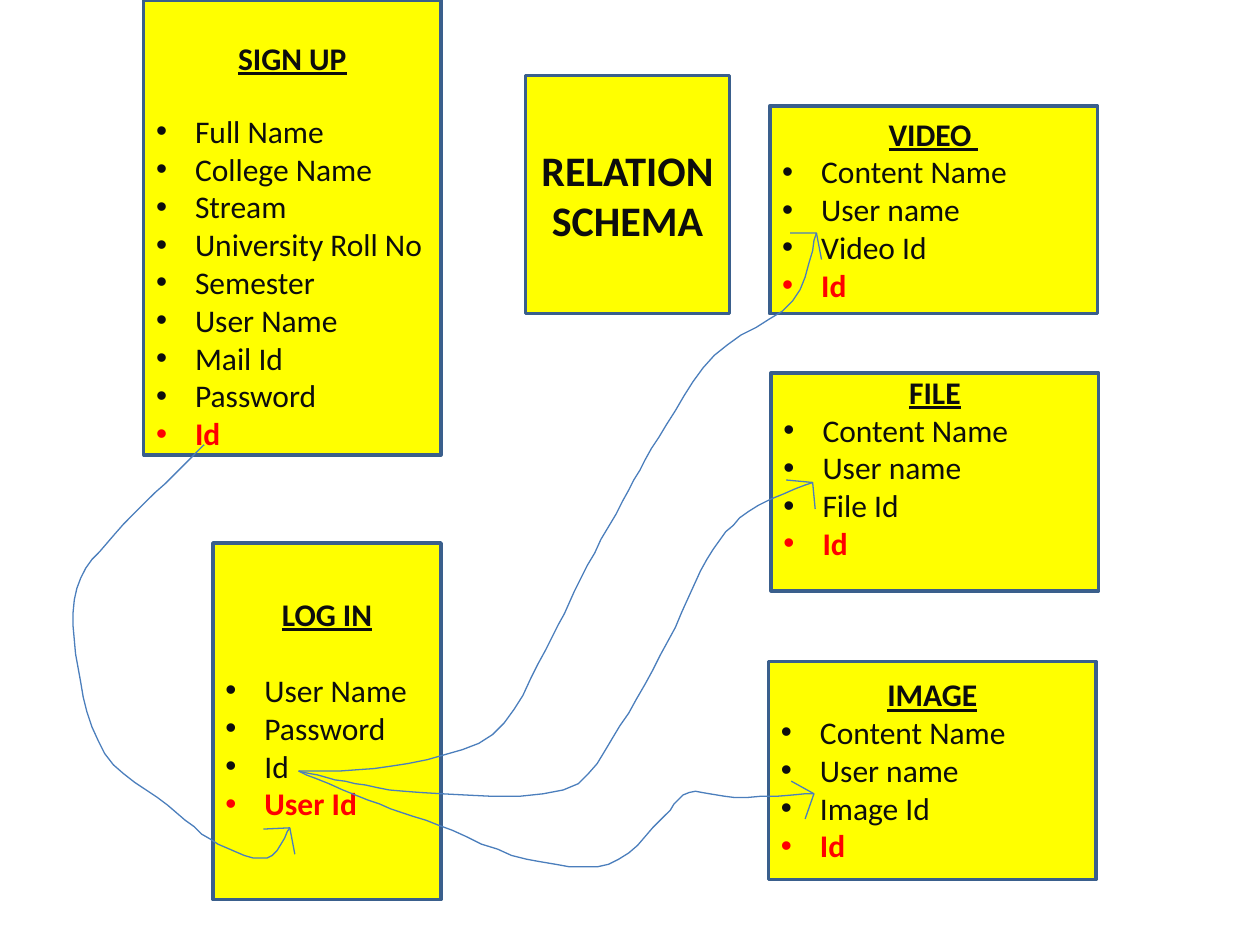
from dataclasses import dataclass
from math import cos, radians, sin
from typing import NamedTuple

from lxml.etree import SubElement
from pptx import Presentation
from pptx.dml.color import RGBColor
from pptx.enum.shapes import MSO_SHAPE
from pptx.enum.text import MSO_ANCHOR, MSO_AUTO_SIZE, PP_ALIGN
from pptx.oxml.ns import qn
from pptx.util import Inches, Pt

COLUMNS = 1000
YELLOW, BORDER, INK, RED, BLUE = "FFFF00", "3A5F8C", "0D0D0D", "FF0000", "4B7EBC"
BARB_LENGTH, BARB_SPREAD = 21, 50
STEPS = 6


class Point(NamedTuple):
    x: float
    y: float


class Box(NamedTuple):
    left: int
    top: int
    width: int
    height: int


@dataclass
class Entity:
    name: str
    box: Box
    inset: int
    fields: list[str]
    key: str = "Id"
    gap: int = 0


@dataclass
class Link:
    start: Point
    bends: list[tuple[int, int]]
    tip: Point
    back_angle: int


def media(name: str, box: Box, inset: int) -> Entity:
    own_id = f"{name.strip().title()} Id"
    return Entity(name, box, inset, ["Content Name", "User name", own_id])


TITLE_BOX = Box(417, 60, 162, 189)
SIGN_UP = Entity("SIGN UP", Box(114, 0, 236, 361), 31,
                 ["Full Name", "College Name", "Stream", "University Roll No",
                  "Semester", "User Name", "Mail Id", "Password"], gap=20)
LOG_IN = Entity("LOG IN", Box(169, 431, 181, 283), 41,
                ["User Name", "Password", "Id"], key="User Id", gap=22)
VIDEO = media("VIDEO ", Box(611, 84, 260, 165), 7)
FILE = media("FILE", Box(612, 296, 260, 173), 0)
IMAGE = media("IMAGE", Box(610, 525, 260, 173), 11)

SIGN_UP_ID = Point(162, 353)
LOG_IN_ID = Point(237, 612)
LINKS = [
    Link(SIGN_UP_ID,
         [(138, 377), (91, 424), (61, 467), (62, 530), (83, 598), (133, 639),
          (173, 670), (212, 681)],
         Point(230, 657), 128),
    Link(LOG_IN_ID,
         [(311, 608), (391, 583), (433, 516), (461, 459), (494, 398), (523, 347),
          (567, 282), (629, 239)],
         Point(648, 185), 130),
    Link(LOG_IN_ID,
         [(274, 620), (334, 629), (447, 627), (492, 576), (530, 509), (561, 444),
          (594, 406)],
         Point(645, 383), 135),
    Link(LOG_IN_ID,
         [(292, 635), (348, 655), (418, 682), (483, 686), (523, 652), (547, 629),
          (583, 633)],
         Point(646, 630), 160),
]

prs = Presentation()
prs.slide_width, prs.slide_height = Inches(10), Inches(7.5)
UNIT = prs.slide_width // COLUMNS
s = prs.slides.add_slide(prs.slide_layouts[5])


def rgb(color: str) -> RGBColor:
    return RGBColor.from_string(color)


def style_text(p, size: int, color: str, bold: bool, underline: bool = False) -> None:
    for r in p.runs:
        r.font.name, r.font.size = "Calibri", Pt(size)
        r.font.bold, r.font.underline = bold, underline
        r.font.color.rgb = rgb(color)


def style_box(sp) -> None:
    sp.fill.solid()
    sp.fill.fore_color.rgb = rgb(YELLOW)
    sp.line.color.rgb = rgb(BORDER)
    sp.line.width = Pt(2)
    tf = sp.text_frame
    tf.word_wrap, tf.auto_size = True, MSO_AUTO_SIZE.NONE


def add_bullet(p) -> None:
    pPr = p._p.get_or_add_pPr()
    pPr.set("marL", str(Inches(0.31)))
    pPr.set("indent", str(-Inches(0.31)))
    SubElement(pPr, qn("a:buFont")).set("typeface", "Arial")
    SubElement(pPr, qn("a:buChar")).set("char", "•")


def add_title(text: str, box: Box) -> None:
    title = s.shapes.title
    title.left, title.top, title.width, title.height = (UNIT * v for v in box)
    style_box(title)
    tf = title.text_frame
    tf.vertical_anchor = MSO_ANCHOR.MIDDLE
    tf.text = text
    for p in tf.paragraphs:
        p.alignment = PP_ALIGN.CENTER
        style_text(p, 24, INK, True)


def add_entity(entity: Entity) -> None:
    sp = s.shapes.add_shape(MSO_SHAPE.RECTANGLE, *(UNIT * v for v in entity.box))
    sp.shadow.inherit = False
    style_box(sp)
    tf = sp.text_frame
    tf.vertical_anchor = MSO_ANCHOR.TOP
    tf.margin_top, tf.margin_bottom = UNIT * entity.inset, 0
    tf.text = "\n".join([entity.name, *entity.fields, entity.key])
    heading, *fields, key = tf.paragraphs
    heading.alignment = PP_ALIGN.CENTER
    heading.space_after = Pt(entity.gap)
    style_text(heading, 18, INK, True, True)
    for p in fields:
        style_text(p, 18, INK, False)
    style_text(key, 18, RED, True)
    for p in (*fields, key):
        p.alignment = PP_ALIGN.LEFT
        add_bullet(p)


def spline(a: float, b: float, c: float, d: float, t: float) -> float:
    return b + t / 2 * (c - a + t * (2 * a - 5 * b + 4 * c - d
                                     + t * (3 * (b - c) + d - a)))


def smooth_curve(knots: list[Point]) -> list[Point]:
    padded = [knots[0], *knots, knots[-1]]
    curve = [knots[0]]
    for a, b, c, d in zip(padded, padded[1:], padded[2:], padded[3:]):
        for step in range(1, STEPS + 1):
            t = step / STEPS
            curve.append(Point(spline(a.x, b.x, c.x, d.x, t),
                               spline(a.y, b.y, c.y, d.y, t)))
    return curve


def barb_end(tip: Point, angle: float) -> Point:
    return Point(tip.x + BARB_LENGTH * cos(radians(angle)),
                 tip.y + BARB_LENGTH * sin(radians(angle)))


def add_stroke(points: list[Point]) -> None:
    builder = s.shapes.build_freeform(*points[0], scale=UNIT)
    builder.add_line_segments(points[1:], close=False)
    sp = builder.convert_to_shape()
    sp.shadow.inherit = False
    sp.fill.background()
    sp.line.color.rgb = rgb(BLUE)
    sp.line.width = Pt(0.75)


def add_link(link: Link) -> None:
    bends = [Point(*bend) for bend in link.bends]
    add_stroke(smooth_curve([link.start, *bends, link.tip]))
    add_stroke([barb_end(link.tip, link.back_angle - BARB_SPREAD), link.tip,
                barb_end(link.tip, link.back_angle + BARB_SPREAD)])


add_title("RELATION\nSCHEMA", TITLE_BOX)
for entity in (LOG_IN, VIDEO, FILE, IMAGE, SIGN_UP):
    add_entity(entity)
for link in LINKS:
    add_link(link)

prs.save("out.pptx")
